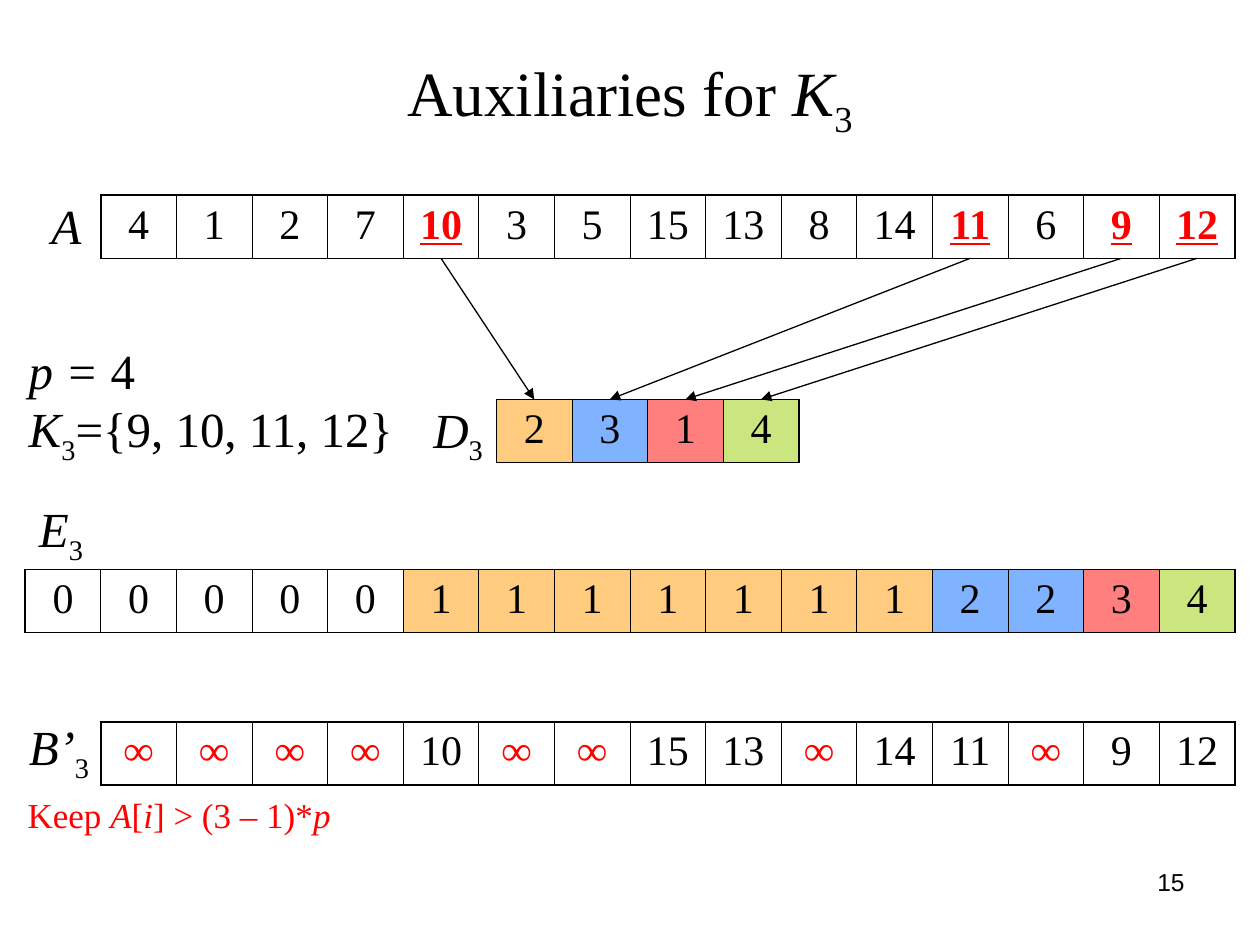
from lxml.etree import SubElement
from pptx import Presentation
from pptx.dml.color import RGBColor
from pptx.enum.shapes import MSO_CONNECTOR
from pptx.enum.text import MSO_ANCHOR, PP_ALIGN
from pptx.oxml.ns import qn
from pptx.util import Emu, Pt

PX = 9144
CELL_WIDTH, CELL_HEIGHT = 60, 50
SERIF, SANS = "Times New Roman", "Arial"
COLORS = {
    "black": "000000",
    "red": "FF0000",
    "orange": "FF9900",
    "blue": "0066FF",
    "green": "99CC00",
}
ARRAY_LEFT, ARRAY_TOP = 80, 155
ORDER_LEFT, ORDER_TOP = 394, 317
ARRAY = [4, 1, 2, 7, 10, 3, 5, 15, 13, 8, 14, 11, 6, 9, 12]
GROUP = [9, 10, 11, 12]
ORDER = [2, 3, 1, 4]
ORDER_FILLS = ["orange", "blue", "red", "green"]
COUNTS = [0] * 5 + [1] * 7 + [2, 2, 3, 4]
COUNT_FILLS = [None] + ORDER_FILLS


def px(value):
    return Emu(round(value * PX))


def add_span(para, text, size, style="", color="black", font=SERIF):
    span = para.add_run()
    span.text = text
    span.font.name = font
    span.font.size = Pt(size)
    span.font.color.rgb = RGBColor.from_string(COLORS[color])
    span.font.italic = "italic" in style
    span.font.bold = "bold" in style
    span.font.underline = "underline" in style
    if "sub" in style:
        span.font._element.set("baseline", "-25000")


def add_text(page, place, lines, size, color="black", font=SERIF,
             align=PP_ALIGN.LEFT, anchor=MSO_ANCHOR.TOP, wrap=False):
    frame = page.shapes.add_textbox(*map(px, place)).text_frame
    frame.word_wrap = wrap
    frame.vertical_anchor = anchor
    for index, spans in enumerate(lines):
        para = frame.add_paragraph() if index else frame.paragraphs[0]
        para.alignment = align
        for text, style in spans:
            add_span(para, text, size, style, color, font)


def add_border(cell, side, width):
    line = SubElement(cell._tc.get_or_add_tcPr(), qn(f"a:ln{side}"), w=str(Pt(width)))
    fill = SubElement(line, qn("a:solidFill"))
    SubElement(fill, qn("a:srgbClr"), val=COLORS["black"])


def fill_cell(cell, color):
    if color is None:
        cell.fill.background()
        return
    cell.fill.solid()
    cell.fill.fore_color.rgb = RGBColor.from_string(COLORS[color])
    tint = cell._tc.tcPr.find(f"{qn('a:solidFill')}/{qn('a:srgbClr')}")
    SubElement(tint, qn("a:alpha"), val="50000")


def add_array(page, left, top, entries):
    count = len(entries)
    place = map(px, (left, top, count * CELL_WIDTH, CELL_HEIGHT))
    table = page.shapes.add_table(1, count, *place).table
    table.first_row = table.horz_banding = False
    for index, (value, style, color, fill) in enumerate(entries):
        table.columns[index].width = px(CELL_WIDTH)
        cell = table.cell(0, index)
        para = cell.text_frame.paragraphs[0]
        para.alignment = PP_ALIGN.CENTER
        add_span(para, str(value), 24, style, color)
        add_border(cell, "L", 0.45 if index else 1.08)
        add_border(cell, "R", 0.45 if index < count - 1 else 1.08)
        add_border(cell, "T", 1.08)
        add_border(cell, "B", 1.08)
        fill_cell(cell, fill)


def add_arrow(page, start, end):
    arrow = page.shapes.add_connector(MSO_CONNECTOR.STRAIGHT, *map(px, start + end))
    arrow.line.color.rgb = RGBColor.from_string(COLORS["black"])
    arrow.line.width = Pt(0.75)
    SubElement(arrow.line._get_or_add_ln(), qn("a:tailEnd"), type="triangle")
    SubElement(arrow._element.spPr, qn("a:effectLst"))


def cell_center(left, index):
    return left + (index + 0.5) * CELL_WIDTH


def add_arrays(page):
    add_array(page, ARRAY_LEFT, ARRAY_TOP, [
        (value, "bold underline", "red", None) if value in GROUP
        else (value, "", "black", None) for value in ARRAY])
    add_array(page, ORDER_LEFT, ORDER_TOP, [
        (value, "", "black", fill) for value, fill in zip(ORDER, ORDER_FILLS)])
    add_array(page, 20, 452, [
        (value, "", "black", COUNT_FILLS[value]) for value in COUNTS])
    add_array(page, ARRAY_LEFT, 573, [
        (value, "", "black", None) if value >= GROUP[0]
        else ("∞", "bold", "red", None) for value in ARRAY])


def add_labels(page):
    sub = ("3", "sub")
    add_text(page, (31, 150, 44, 57), [[("A", "italic")]], 28)
    for name, place in [
        ("D", (334, 312, 59, 63)),
        ("E", (21, 391, 55, 63)),
        ("B’", (13, 564, 68, 63)),
    ]:
        add_text(page, place, [[(name, "italic"), sub]], 28)
    add_text(page, (13, 265, 310, 110), [
        [("p = ", "italic"), ("4", "")],
        [("K", "italic"), sub, ("={9, 10, 11, 12}", "")],
    ], 28)
    add_text(page, (12, 625, 268, 44), [[
        ("Keep ", ""), ("A", "italic"), ("[", ""), ("i", "italic"),
        ("] > (3 – 1)*", ""), ("p", "italic"),
    ]], 20, color="red", wrap=True)


def main():
    deck = Presentation()
    deck.slide_width, deck.slide_height = px(1000), px(750)
    page = deck.slides.add_slide(deck.slide_layouts[6])
    add_text(page, (50, 14, 900, 125),
             [[("Auxiliaries for ", ""), ("K", "italic"), ("3", "sub")]], 36,
             align=PP_ALIGN.CENTER, anchor=MSO_ANCHOR.MIDDLE, wrap=True)
    add_arrays(page)
    add_labels(page)
    sources = [index for index, value in enumerate(ARRAY) if value in GROUP]
    for target, source in enumerate(sources):
        add_arrow(page, (cell_center(ARRAY_LEFT, source), ARRAY_TOP + CELL_HEIGHT),
                  (cell_center(ORDER_LEFT, target), ORDER_TOP))
    add_text(page, (717, 683, 233, 52), [[("15", "")]], 14, font=SANS,
             align=PP_ALIGN.RIGHT, wrap=True)
    deck.save("out.pptx")


if __name__ == "__main__":
    main()
